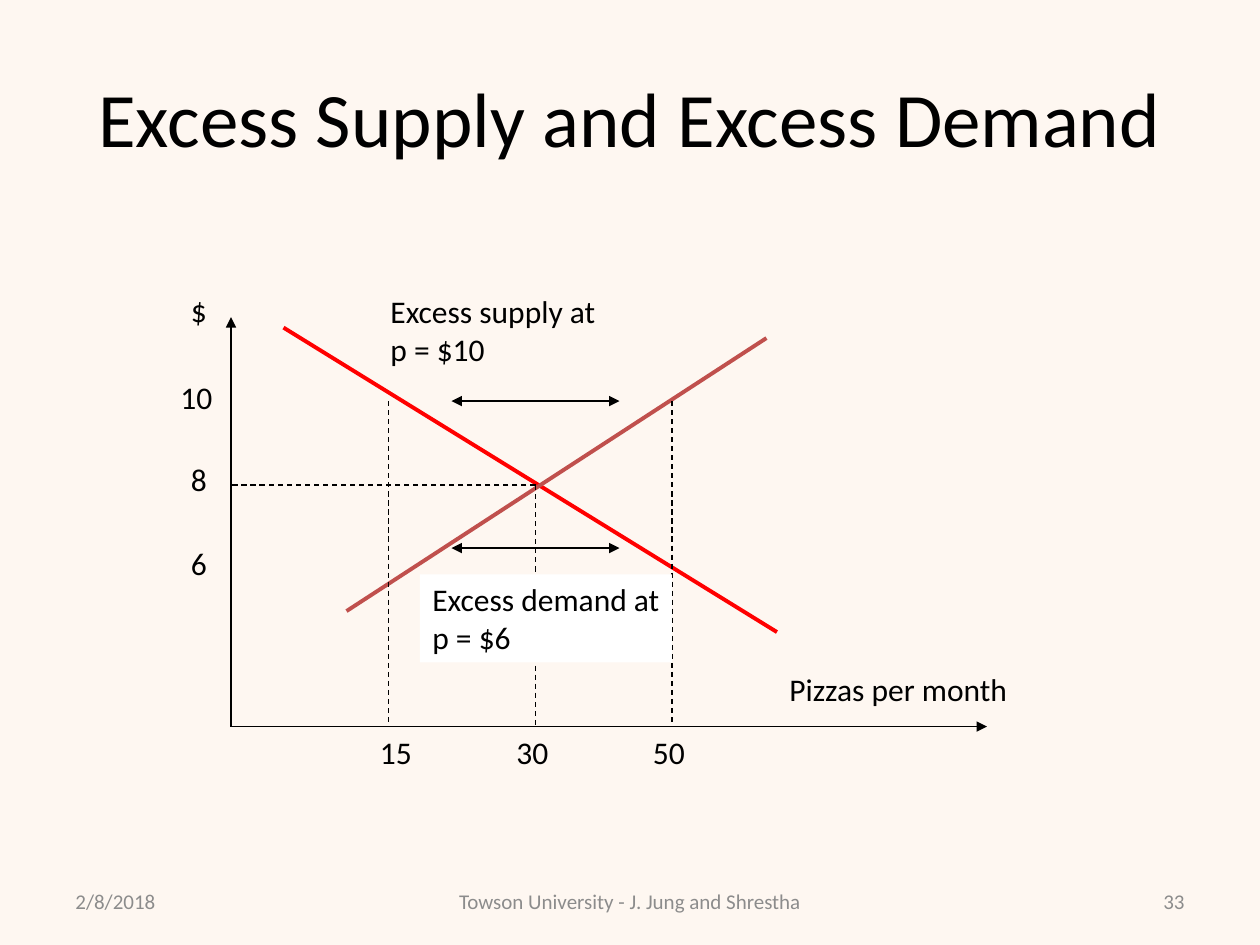
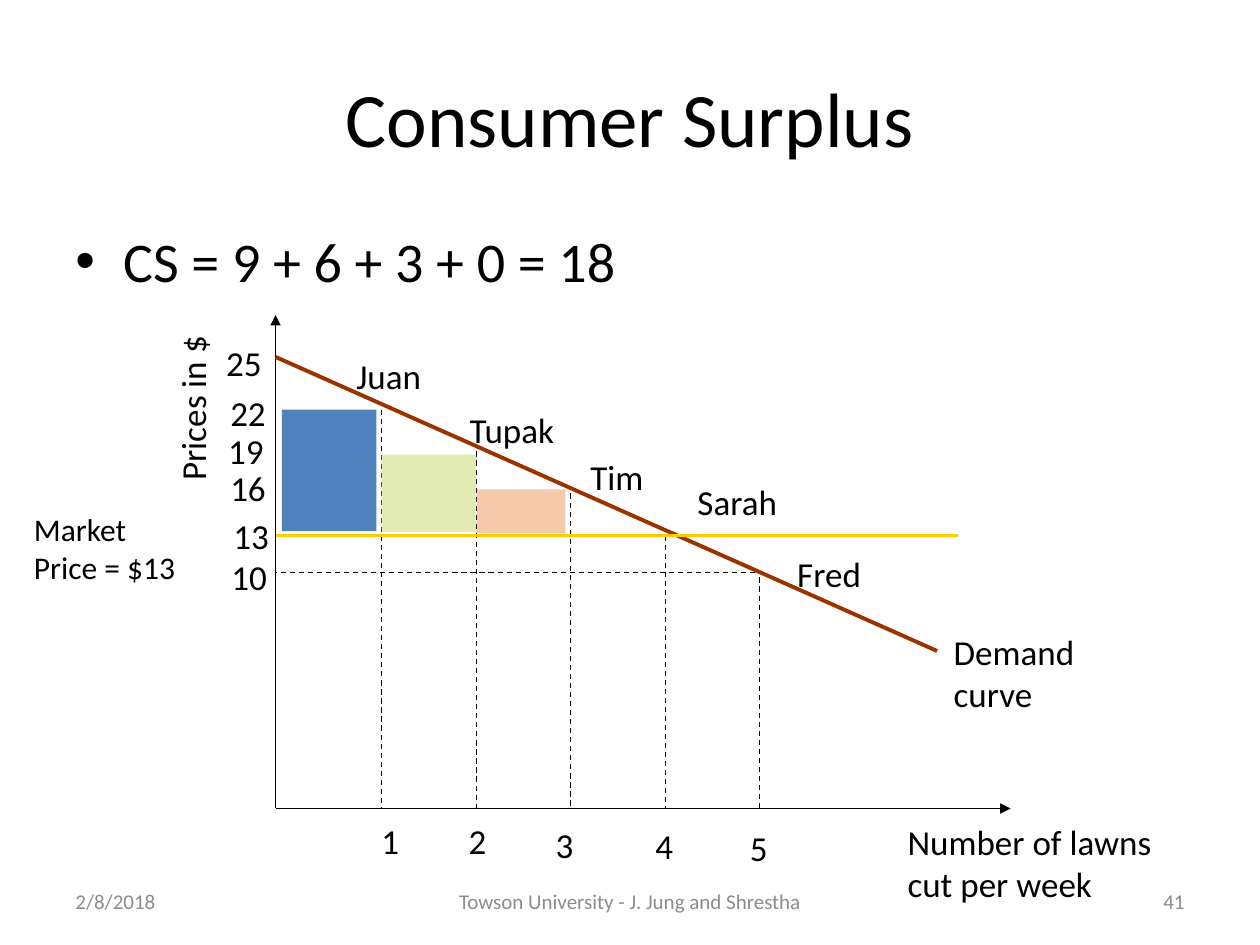
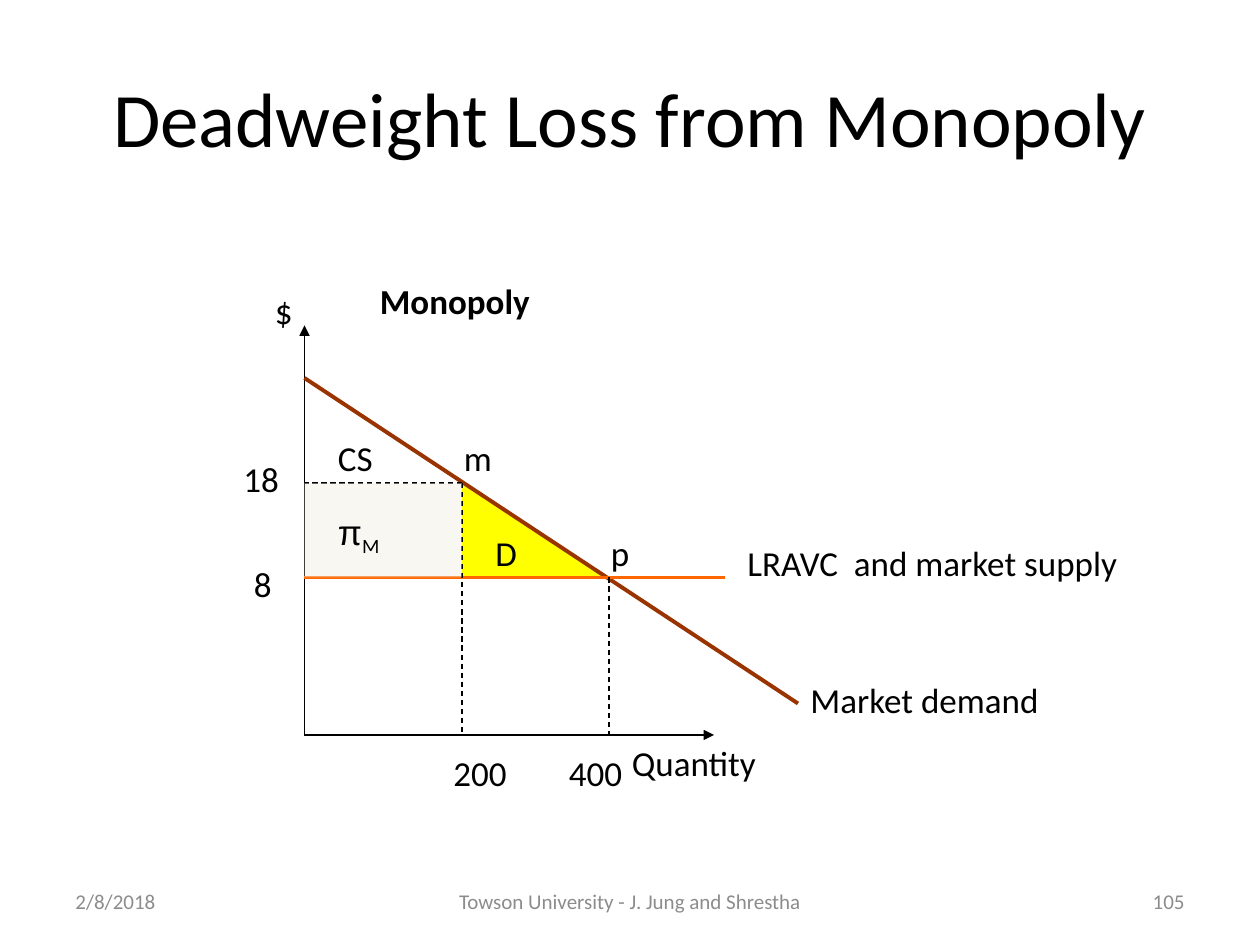
"""Build three slides of market graphs on a shared grid of cells."""
from dataclasses import dataclass
from typing import Any

from lxml import etree
from pptx import Presentation
from pptx.dml.color import RGBColor
from pptx.enum.dml import MSO_LINE
from pptx.enum.shapes import MSO_CONNECTOR, MSO_SHAPE
from pptx.enum.text import MSO_ANCHOR, PP_ALIGN
from pptx.oxml.ns import qn
from pptx.util import Inches, Pt

WIDE, HIGH = Inches(10), Inches(7.5)
COLS, ROWS = 120, 90
LEFT, MID, RIGHT = PP_ALIGN.LEFT, PP_ALIGN.CENTER, PP_ALIGN.RIGHT
TOP, CENTER = MSO_ANCHOR.TOP, MSO_ANCHOR.MIDDLE
RECT, WEDGE = MSO_SHAPE.RECTANGLE, MSO_SHAPE.RIGHT_TRIANGLE
STRAIGHT, DASH = MSO_CONNECTOR.STRAIGHT, MSO_LINE.DASH
FONT, GREEK = "Calibri", "Arial"
THIN, THICK = 0.75, 2.25
HUES = {
    "ink": "000000", "gray": "8C8C8C", "white": "FFFFFF", "cream": "FEF7F1",
    "red": "FF0000", "rose": "C0504D", "brown": "993300", "gold": "FFCC00",
    "orange": "FF6600", "blue": "4F81BD", "lime": "E2ECB2", "peach": "F4CAAA",
    "yellow": "FFFF00", "sand": "EEECE1",
}


@dataclass
class Graph:
    """A slide with the cell where its axes meet and its label size."""
    slide: Any
    col: float
    row: float
    size: int

    def spot(self, x, up):
        """Turn cells right of and above the origin into slide lengths."""
        return across(self.col + x), down(self.row - up)


def across(cols):
    """Width of a number of grid columns."""
    return int(WIDE * cols / COLS)


def down(rows):
    """Height of a number of grid rows."""
    return int(HIGH * rows / ROWS)


def hue(name):
    """Look up a named colour."""
    return RGBColor.from_string(HUES[name])


def add_run(par, text, size, color="ink", font=FONT, bold=False):
    """Add one styled run to a paragraph."""
    run = par.add_run()
    run.text = text
    run.font.size, run.font.name, run.font.bold = Pt(size), font, bold
    run.font.color.rgb = hue(color)
    return run


def write(shape, text, size, color="ink", align=LEFT, anchor=TOP, bold=False):
    """Fill a shape with text, one line break per newline."""
    frame = shape.text_frame
    frame.word_wrap = True
    frame.vertical_anchor = anchor
    par = frame.paragraphs[0]
    par.alignment = align
    for i, line in enumerate(text.split("\n")):
        if i:
            par.add_line_break()
        add_run(par, line, size, color, bold=bold)
    return par


def band(slide, col, row, cols, rows, text, size, **style):
    """Place text at fixed cells of the slide."""
    box = slide.shapes.add_textbox(across(col), down(row), across(cols), down(rows))
    return write(box, text, size, **style)


def add_page(deck, title, number, back="white"):
    """Add a slide with its ground, title and footer."""
    slide = deck.slides.add_slide(deck.slide_layouts[6])
    slide.background.fill.solid()
    slide.background.fill.fore_color.rgb = hue(back)
    band(slide, 6, 3.6, 108, 15, title, 44, align=MID, anchor=CENTER)
    for col, cols, text, align in (
        (6, 28, "2/8/2018", LEFT),
        (41, 38, "Towson University - J. Jung and Shrestha", MID),
        (86, 28, number, RIGHT),
    ):
        band(slide, col, 83.4, cols, 4.8, text, 12, color="gray", align=align, anchor=CENTER)
    return slide


def bullet(slide, text):
    """Add the bulleted line under the title."""
    par = band(slide, 6, 21, 108, 9, text, 32)
    props = par._p.get_or_add_pPr()
    props.set("marL", str(Inches(0.38)))
    props.set("indent", str(-Inches(0.38)))
    etree.SubElement(props, qn("a:buFont"), typeface=GREEK)
    etree.SubElement(props, qn("a:buChar"), char="•")


def line(graph, start, end, color="ink", width=THIN, dash=False, tips=()):
    """Draw a line between two points, with arrow tips if named."""
    link = graph.slide.shapes.add_connector(STRAIGHT, *graph.spot(*start), *graph.spot(*end))
    link.line.color.rgb = hue(color)
    link.line.width = Pt(width)
    if dash:
        link.line.dash_style = DASH
    for tip in tips:
        etree.SubElement(link.line._get_or_add_ln(), qn("a:" + tip), type="triangle")
    etree.SubElement(link._element.spPr, qn("a:effectLst"))


def axes(graph, width, height):
    """Draw both axes from the origin."""
    for end in ((0, height), (width, 0)):
        line(graph, (0, 0), end, tips=("tailEnd",))


def drops(graph, points):
    """Draw dashed lines from points down to the axis."""
    for x, up in points:
        line(graph, (x, up), (x, 0), dash=True)


def block(graph, x, up, cols, rows, color, kind=RECT, alpha=None):
    """Draw a filled area."""
    shape = graph.slide.shapes.add_shape(kind, *graph.spot(x, up), across(cols), down(rows))
    shape.shadow.inherit = False
    shape.fill.solid()
    shape.fill.fore_color.rgb = hue(color)
    shape.line.fill.background()
    if alpha:
        tint = shape._element.spPr.find(".//" + qn("a:srgbClr"))
        etree.SubElement(tint, qn("a:alpha"), val=str(alpha * 1000))
    return shape


def label(graph, text, x, up, cols, size=None, bold=False, turn=0):
    """Place a label by its top left cell."""
    box = graph.slide.shapes.add_textbox(*graph.spot(x, up), across(cols), down(5.3))
    box.rotation = turn
    return write(box, text, size or graph.size, bold=bold)


def labels(graph, rows):
    """Place a list of plain labels."""
    for row in rows:
        label(graph, *row)


def excess(deck):
    """Build the slide on excess supply and demand."""
    slide = add_page(deck, "Excess Supply and Excess Demand", "33", "cream")
    graph = Graph(slide, 22, 69.2, 18)
    axes(graph, 72, 39)
    line(graph, (5, 38), (52, 9), "red", THICK)
    line(graph, (11, 11), (51, 37), "rose", THICK)
    drops(graph, ((15, 31), (29, 23), (42, 31)))
    line(graph, (29, 23), (0, 23), dash=True)
    for up in (17, 31):
        line(graph, (21, up), (37, up), tips=("headEnd", "tailEnd"))
    labels(graph, (
        ("$", -5, 42.1, 8), ("10", -6, 33.8, 8), ("8", -5, 26, 5), ("6", -5, 18, 5),
        ("15", 13, 0, 6), ("30", 26, 0, 11), ("50", 39, 0, 11),
        ("Pizzas per month", 52, 6, 30),
        ("Excess supply at\np = $10", 14, 42, 28),
    ))
    note = block(graph, 18, 14.5, 24, 8.4, "white")
    write(note, "Excess demand at p = $6", graph.size)


def surplus(deck):
    """Build the slide on consumer surplus."""
    slide = add_page(deck, "Consumer Surplus", "41")
    bullet(slide, "CS = 9 + 6 + 3 + 0 = 18")
    graph = Graph(slide, 26.25, 77, 20)
    axes(graph, 70, 47)
    line(graph, (0, 43), (63, 15), "brown", THICK)
    drops(graph, [(10.1 + 9 * i, 38 - 4 * i) for i in range(5)])
    line(graph, (65, 26), (0, 26), "gold", THICK)
    block(graph, 0.6, 38, 9, 11.6, "blue")
    block(graph, 10.1, 33.7, 9, 7.4, "lime")
    block(graph, 19.2, 30.4, 8.4, 4.2, "peach")
    line(graph, (45.7, 22.5), (0, 22.5), dash=True)
    label(graph, "Prices in $", -17.9, 42.7, 20, turn=270)
    labels(graph, (
        ("Juan", 6.5, 43.8, 9.5), ("Tupak", 17.3, 38.7, 11), ("Tim", 28.8, 34.2, 10),
        ("Sarah", 39, 31.8, 17), ("Fred", 48.5, 25, 12.5),
        ("1", 8.9, -0.5, 5), ("2", 17.2, -0.5, 5), ("3", 25.5, -0.8, 5),
        ("4", 35, -0.9, 5), ("5", 44, -1.1, 5),
        ("25", -5.9, 45.1, 8), ("22", -5.5, 40.3, 8), ("19", -5.7, 36.7, 8),
        ("16", -5.5, 33.2, 8), ("13", -5.2, 28.6, 8), ("10", -5.4, 24.7, 8),
        ("Number of lawns cut per week", 59, -0.6, 26),
        ("Demand curve", 63.4, 17.5, 14.4),
        ("Market Price = $13", -24.2, 29, 17, 18),
    ))


def loss(deck):
    """Build the slide on deadweight loss."""
    slide = add_page(deck, "Deadweight Loss from Monopoly", "105")
    graph = Graph(slide, 29, 70, 20)
    block(graph, 15, 24, 14, 9, "yellow", WEDGE)
    axes(graph, 39, 39)
    line(graph, (0, 34), (47, 3), "brown", THICK)
    line(graph, (40, 15), (0, 15), "orange", THICK)
    line(graph, (15, 24), (0, 24), dash=True)
    drops(graph, ((15, 24), (29, 15)))
    block(graph, 0, 24, 15, 9, "sand", alpha=41)
    label(graph, "Monopoly", 6, 44, 36, bold=True)
    labels(graph, (
        ("$", -4, 43, 8), ("18", -7, 27, 7), ("8", -6, 17, 5),
        ("200", 13, -1, 10), ("400", 24, -1, 10), ("Quantity", 30, 0, 26),
        ("Market demand", 47, 6, 26), ("LRAVC  and market supply", 41, 19, 49),
        ("CS", 2, 29, 7), ("m", 14, 29, 12), ("D", 17, 20, 5), ("p", 28, 20, 6),
    ))
    par = label(graph, "π", 2, 22, 8)
    par.runs[0].font.name = GREEK
    add_run(par, "M", graph.size).font._element.set("baseline", "-25000")


def main():
    """Build and save the deck."""
    deck = Presentation()
    deck.slide_width, deck.slide_height = WIDE, HIGH
    excess(deck)
    surplus(deck)
    loss(deck)
    deck.save("out.pptx")


if __name__ == "__main__":
    main()
